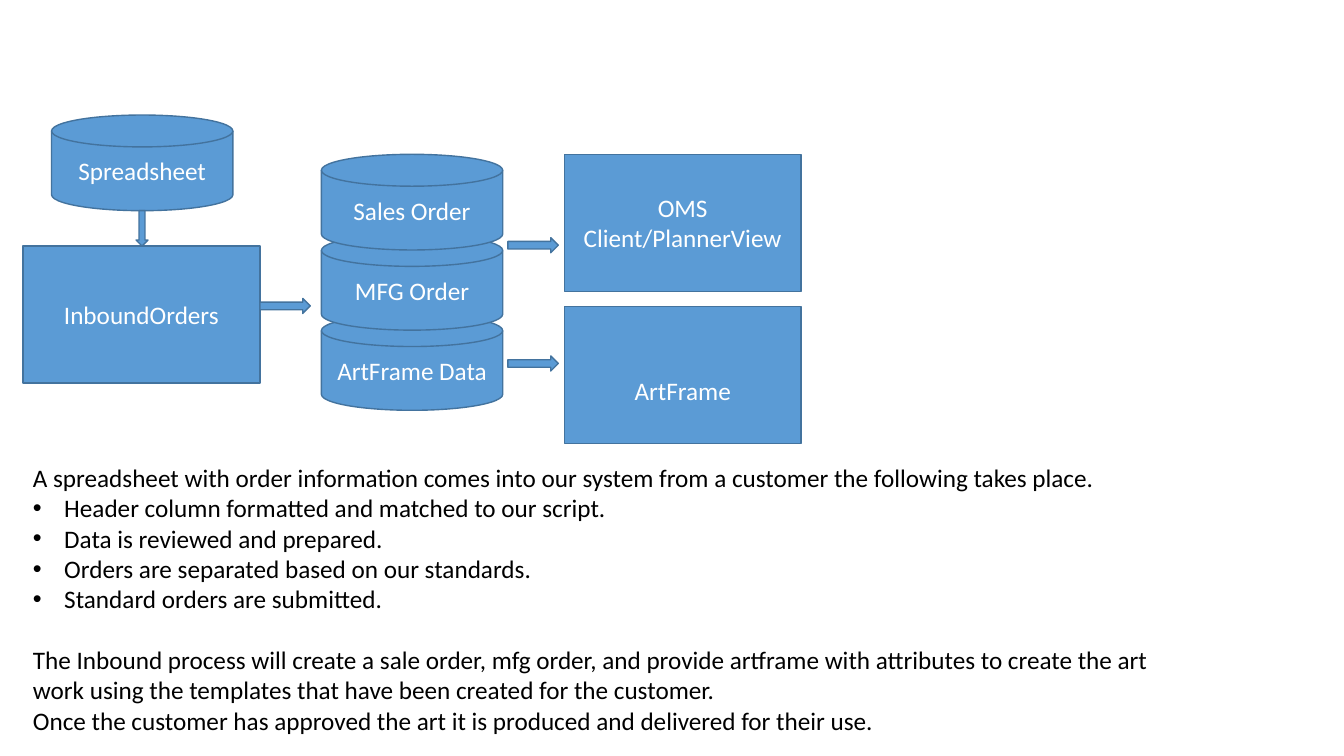
import pptx
import pptx.util
import pptx.dml.color
import pptx.enum.shapes
import pptx.enum.text
import lxml.etree

Cm = pptx.util.Cm
Pt = pptx.util.Pt
Shape = pptx.enum.shapes.MSO_SHAPE
Align = pptx.enum.text.PP_ALIGN


def color(hex_text):
    return pptx.dml.color.RGBColor.from_string(hex_text)


def add_block(kind, left, top, width, height, lines=()):
    block = page.shapes.add_shape(kind, Cm(left), Cm(top), Cm(width), Cm(height))
    block.shadow.inherit = False
    block.fill.solid()
    block.fill.fore_color.rgb = color("5B9BD5")
    block.line.color.rgb = color("43739E")
    block.line.width = Pt(1)
    frame = block.text_frame
    frame.word_wrap = True
    frame.vertical_anchor = pptx.enum.text.MSO_ANCHOR.MIDDLE
    for index, line in enumerate(lines):
        para = frame.add_paragraph() if index else frame.paragraphs[0]
        para.alignment = Align.CENTER
        span = para.add_run()
        span.text = line
        span.font.name = "Calibri"
        span.font.size = Pt(18)
        span.font.color.rgb = color("FFFFFF")
    return block


deck = pptx.Presentation()
deck.slide_width = Cm(33.87)
deck.slide_height = Cm(19.05)
page = deck.slides.add_slide(deck.slide_layouts[6])

disk_size = (4.57, 2.41)
process_size = (5.97, 3.45)
stack_top = 3.89

add_block(Shape.FLOWCHART_MAGNETIC_DISK, 1.3, 2.9, *disk_size, ["Spreadsheet"])
add_block(Shape.FLOWCHART_PROCESS, 0.58, 6.2, *process_size, ["InboundOrders"])

for level, name in enumerate(["ArtFrame Data", "MFG Order", "Sales Order"]):
    top = stack_top + (2 - level) * 2.02
    add_block(Shape.FLOWCHART_MAGNETIC_DISK, 8.1, top, *disk_size, [name])

add_block(Shape.DOWN_ARROW, 3.43, 5.31, 0.3, 0.89)
for left, top in [(6.55, 7.52), (12.8, 5.99), (12.8, 8.97)]:
    add_block(Shape.RIGHT_ARROW, left, top, 1.27, 0.38)

add_block(Shape.FLOWCHART_PROCESS, 14.22, stack_top, *process_size,
          ["OMS", "Client/PlannerView"])
layout_box = add_block(Shape.FLOWCHART_PROCESS, 14.22, 7.72, *process_size, ["ArtFrame"])
layout_box.text_frame.margin_top = Cm(0.9)

description = [
    ("A spreadsheet with order information comes into our system from a customer "
     "the following takes place.", False, 0),
    ("Header column formatted and matched to our script.", True, 0),
    ("Data is reviewed and prepared.", True, 0),
    ("Orders are separated based on our standards.", True, 0),
    ("Standard orders are submitted.", True, 0),
    ("The Inbound process will create a sale order, mfg order, and provide artframe "
     "with attributes to create the art work using the templates that have been "
     "created for the customer.", False, 22),
    ("Once the customer has approved the art it is produced and delivered for "
     "their use.", False, 0),
]
box = page.shapes.add_textbox(Cm(0.58), Cm(11.53), Cm(29.57), Cm(7.19))
frame = box.text_frame
frame.word_wrap = True
frame.auto_size = pptx.enum.text.MSO_AUTO_SIZE.SHAPE_TO_FIT_TEXT
for index, (text, bulleted, gap) in enumerate(description):
    para = frame.add_paragraph() if index else frame.paragraphs[0]
    if gap:
        para.space_before = Pt(gap)
    if bulleted:
        properties = para._p.get_or_add_pPr()
        properties.set("marL", str(Cm(0.79)))
        properties.set("indent", str(-Cm(0.79)))
        bullet_font = lxml.etree.SubElement(properties, pptx.oxml.ns.qn("a:buFont"))
        bullet_font.set("typeface", "Arial")
        bullet = lxml.etree.SubElement(properties, pptx.oxml.ns.qn("a:buChar"))
        bullet.set("char", "•")
    span = para.add_run()
    span.text = text
    span.font.name = "Calibri"
    span.font.size = Pt(18)
    span.font.color.rgb = color("000000")

deck.save("out.pptx")
